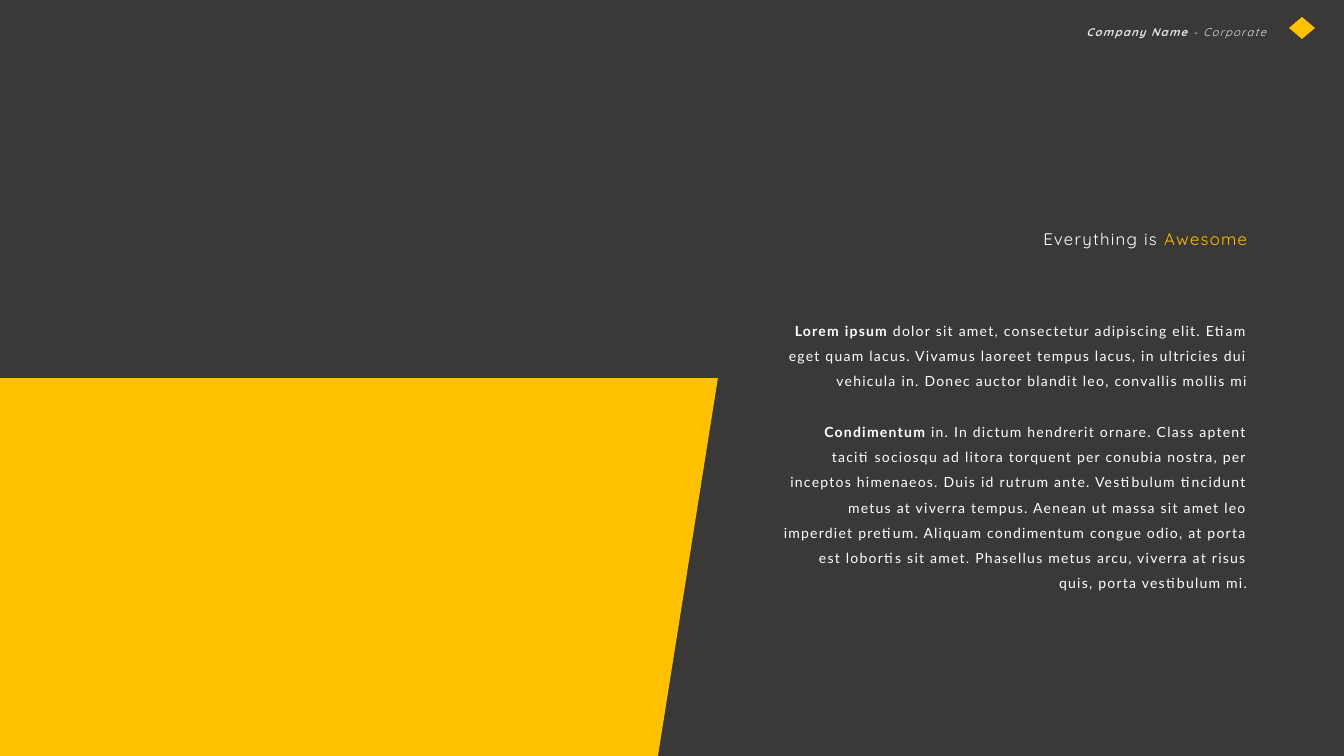
from pptx import Presentation
from pptx.dml.color import RGBColor as RGB
from pptx.enum.shapes import MSO_SHAPE as SHAPE
from pptx.enum.text import PP_ALIGN as ALIGN
from pptx.util import Pt

SCALE = 914400 / 100.8
W, H = 1344, 756
DARK, YELLOW, LIGHT, WHITE = "3B3838", "FFC000", "E7E6E6", "FFFFFF"
SPACING = "90"
LINE = 1.5

PANEL = [(0, 378), (718, 378), (658, 756), (0, 756)]
MARK = (1289, 17, 26, 22)

TEXTS = [
    ((1073, 14, 203, 28), "Quicksand", 8, True, [
        [("Company Name ", LIGHT, True), ("- Corporate", LIGHT, False)],
    ]),
    ((773, 309, 484, 261), "Lato", 10, False, [
        [("Lorem ipsum ", WHITE, True),
         ("dolor sit amet, consectetur adipiscing elit. Etiam eget quam lacus. "
          "Vivamus laoreet tempus lacus, in ultricies dui vehicula in. Donec auctor "
          "blandit leo, convallis mollis mi", WHITE, False)],
        [("Condimentum ", WHITE, True),
         ("in. In dictum hendrerit ornare. Class aptent taciti sociosqu ad litora "
          "torquent per conubia nostra, per inceptos himenaeos. Duis id rutrum ante. "
          "Vestibulum tincidunt metus at viverra tempus. Aenean ut massa sit amet leo "
          "imperdiet pretium. Aliquam condimentum congue odio, at porta est lobortis "
          "sit amet. Phasellus metus arcu, viverra at risus quis, porta vestibulum mi.",
          WHITE, False)],
    ]),
    ((984, 214, 273, 37), "Quicksand", 12, False, [
        [("Everything is ", WHITE, False), ("Awesome", YELLOW, False)],
    ]),
]


def px(n):
    return round(n * SCALE)


def paint(fill, color):
    fill.solid()
    fill.fore_color.rgb = RGB.from_string(color)


def finish(sp, color):
    paint(sp.fill, color)
    sp.line.fill.background()
    sp.shadow.inherit = False


def add_text(slide, box, font, size, italic, paragraphs):
    tf = slide.shapes.add_textbox(*map(px, box)).text_frame
    tf.word_wrap = True
    for i, runs in enumerate(paragraphs):
        p = tf.add_paragraph() if i else tf.paragraphs[0]
        p.alignment = ALIGN.RIGHT
        p.line_spacing = LINE
        if i:
            p.space_before = Pt(size * 1.2 * LINE)
        p.font.name, p.font.size, p.font.italic = font, Pt(size), italic
        for text, color, bold in runs:
            r = p.add_run()
            r.text = text
            r.font.bold = bold
            paint(r.font.fill, color)
            r.font._element.set("spc", SPACING)


def main():
    prs = Presentation()
    prs.slide_width, prs.slide_height = px(W), px(H)
    slide = prs.slides.add_slide(prs.slide_layouts[6])
    paint(slide.background.fill, DARK)

    start, *corners = PANEL
    builder = slide.shapes.build_freeform(*start, scale=SCALE)
    builder.add_line_segments(corners, close=True)
    finish(builder.convert_to_shape(), YELLOW)

    finish(slide.shapes.add_shape(SHAPE.DIAMOND, *map(px, MARK)), YELLOW)

    for text in TEXTS:
        add_text(slide, *text)

    prs.save("out.pptx")


if __name__ == "__main__":
    main()
